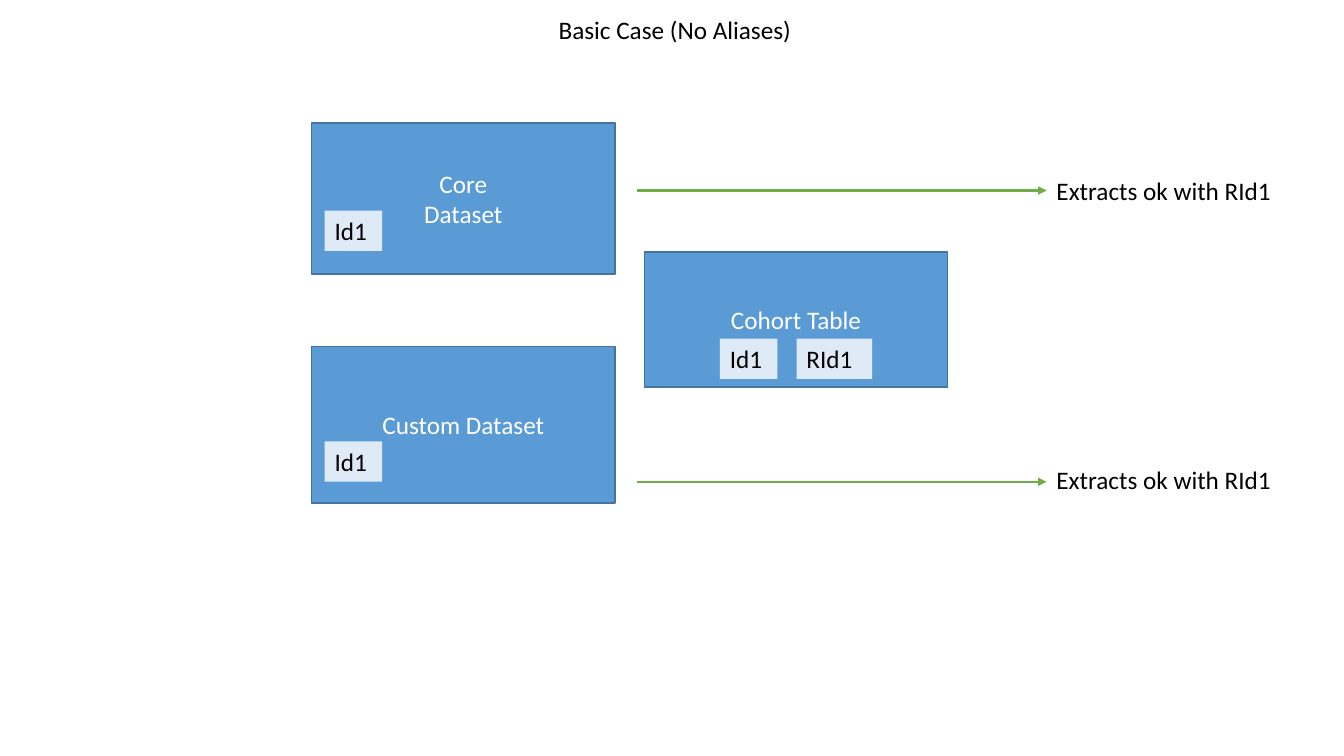
from dataclasses import dataclass

from lxml import etree
from pptx import Presentation
from pptx.dml.color import RGBColor
from pptx.enum.shapes import MSO_CONNECTOR, MSO_SHAPE
from pptx.enum.text import MSO_ANCHOR, MSO_AUTO_SIZE, PP_ALIGN
from pptx.oxml.ns import qn
from pptx.util import Inches, Pt


@dataclass(frozen=True)
class Theme:
    font: str = "Calibri"
    size: int = 18
    box: str = "5B9BD5"
    border: str = "43739E"
    chip: str = "DEEBF7"
    arrow: str = "70AD47"
    light: str = "FFFFFF"
    dark: str = "000000"
    border_width: float = 1
    arrow_width: float = 1.5


THEME = Theme()

# Content: name lines, left, top, height, and chips as (text, left, top, width)
TITLE = "Basic Case (No Aliases)"
DATASETS = [
    (["Core", "Dataset"], 3.09, 1.22, 1.5, [("Id1", 3.22, 2.09, 0.57)]),
    (["Cohort Table"], 6.39, 2.5, 1.34,
     [("Id1", 7.14, 3.36, 0.57), ("RId1", 7.9, 3.36, 0.75)]),
    (["Custom Dataset"], 3.09, 3.44, 1.55, [("Id1", 3.22, 4.38, 0.57)]),
]
# Extraction results: text, arrow height, label top, label width
RESULTS = [
    ("Extracts ok with RId1", 1.89, 1.69, 2.55),
    ("Extracts ok with RId1", 4.78, 4.56, 2.83),
]
BOX_WIDTH = 3.01
LINE_HEIGHT = 0.4
ARROW_START, ARROW_END = 6.32, 10.38


def color(value):
    return RGBColor.from_string(value)


def write(shape, lines, ink, align=PP_ALIGN.LEFT, anchor=MSO_ANCHOR.TOP, wrap=True):
    frame = shape.text_frame
    frame.word_wrap = wrap
    frame.auto_size = MSO_AUTO_SIZE.NONE
    frame.vertical_anchor = anchor
    for index, line in enumerate(lines):
        para = frame.add_paragraph() if index else frame.paragraphs[0]
        para.alignment = align
        span = para.add_run()
        span.text = line
        span.font.name = THEME.font
        span.font.size = Pt(THEME.size)
        span.font.color.rgb = color(ink)


def add_rectangle(page, left, top, width, height, fill, border=None):
    shape = page.shapes.add_shape(
        MSO_SHAPE.RECTANGLE, *map(Inches, (left, top, width, height)))
    shape.shadow.inherit = False
    shape.fill.solid()
    shape.fill.fore_color.rgb = color(fill)
    if border:
        shape.line.color.rgb = color(border)
        shape.line.width = Pt(THEME.border_width)
    else:
        shape.line.fill.background()
    return shape


def add_arrow(page, height):
    arrow = page.shapes.add_connector(
        MSO_CONNECTOR.STRAIGHT,
        *map(Inches, (ARROW_START, height, ARROW_END, height)))
    arrow.line.color.rgb = color(THEME.arrow)
    arrow.line.width = Pt(THEME.arrow_width)
    etree.SubElement(arrow.line._get_or_add_ln(), qn("a:tailEnd"), type="triangle")
    etree.SubElement(arrow._element.spPr, qn("a:effectLst"))


deck = Presentation()
deck.slide_width, deck.slide_height = Inches(13.33), Inches(7.5)
page = deck.slides.add_slide(deck.slide_layouts[5])

# Title
title = page.shapes.title
title.left, title.top = Inches(5.44), Inches(0.09)
title.width, title.height = Inches(2.53), Inches(LINE_HEIGHT)
write(title, [TITLE], THEME.dark, wrap=False)

# Datasets with their identifier chips
for name, left, top, height, chips in DATASETS:
    box = add_rectangle(page, left, top, BOX_WIDTH, height, THEME.box, THEME.border)
    write(box, name, THEME.light, PP_ALIGN.CENTER, MSO_ANCHOR.MIDDLE)
    for text, chip_left, chip_top, chip_width in chips:
        chip = add_rectangle(
            page, chip_left, chip_top, chip_width, LINE_HEIGHT, THEME.chip)
        write(chip, [text], THEME.dark)

# Arrows to the extraction results
for text, arrow_height, top, width in RESULTS:
    add_arrow(page, arrow_height)
    label = page.shapes.add_textbox(
        *map(Inches, (ARROW_END, top, width, LINE_HEIGHT)))
    write(label, [text], THEME.dark)

deck.save("out.pptx")
